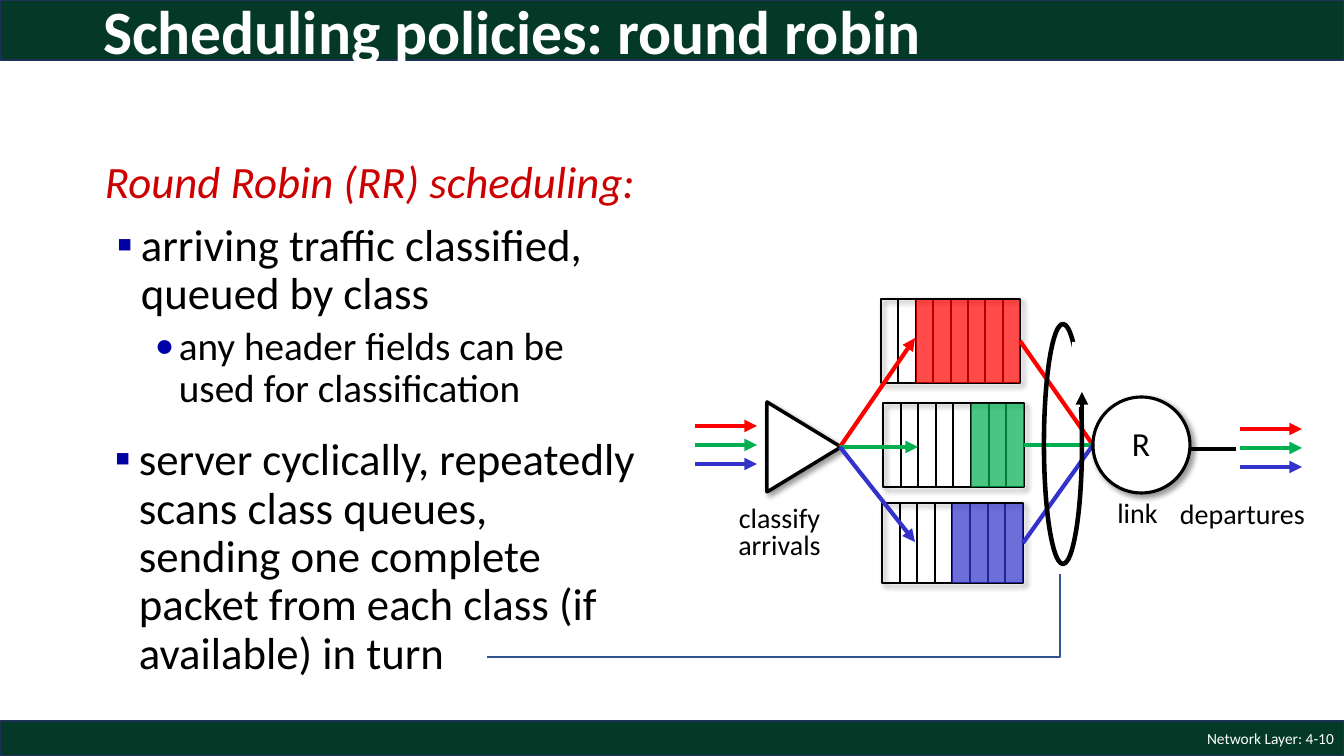
from typing import NamedTuple

from lxml.etree import SubElement
from pptx import Presentation
from pptx.dml.color import RGBColor
from pptx.enum.shapes import MSO_CONNECTOR as Connector, MSO_SHAPE as Preset
from pptx.enum.text import MSO_ANCHOR as Anchor, MSO_AUTO_SIZE as AutoSize, PP_ALIGN as Align
from pptx.oxml.ns import qn
from pptx.util import Emu, Pt

EMU_PER_PX = 914400 / 100.8
FONT = "Calibri"
BLACK, WHITE = "000000", "FFFFFF"
RED, GREEN, BLUE = "FF0000", "00B050", "3333CC"
CLASS_COLORS = (RED, GREEN, BLUE)
QUEUE_CELLS = 8


class Box(NamedTuple):
    left: int
    top: int
    width: int
    height: int

    def inside(self, x, y, width, height):
        return Box(self.left + x, self.top + y, width, height)

    def point(self, x, y):
        return self.left + x, self.top + y


def px(length):
    return Emu(round(length * EMU_PER_PX))


def to_emu(lengths):
    return [px(length) for length in lengths]


def color(value):
    return RGBColor.from_string(value)


def add_shape(parent, preset, box, fill=None, line=None, line_width=1, opacity=None, shadow=False):
    shape = parent.shapes.add_shape(preset, *to_emu(box))
    shape.shadow.inherit = False
    if fill:
        shape.fill.solid()
        shape.fill.fore_color.rgb = color(fill)
    else:
        shape.fill.background()
    if line:
        shape.line.color.rgb = color(line)
        shape.line.width = Pt(line_width)
    else:
        shape.line.fill.background()
    properties = shape._element.spPr
    if opacity:
        fill_color = properties.find(qn("a:solidFill"))[0]
        SubElement(fill_color, qn("a:alpha"), val=str(opacity * 1000))
    if shadow:
        effect = SubElement(properties.find(qn("a:effectLst")), qn("a:outerShdw"),
                            blurRad=str(Pt(4)), dist=str(Pt(3)), dir="2700000")
        shadow_color = SubElement(effect, qn("a:srgbClr"), val=BLACK)
        SubElement(shadow_color, qn("a:alpha"), val="40000")
    return shape


def add_line(parent, start, end, line=BLACK, width=3, arrow=False, source=None):
    connector = parent.shapes.add_connector(Connector.STRAIGHT, *to_emu(start + end))
    connector.line.color.rgb = color(line)
    connector.line.width = Pt(width)
    if arrow:
        SubElement(connector.line._get_or_add_ln(), qn("a:tailEnd"), type="triangle")
    SubElement(connector._element.spPr, qn("a:effectLst"))
    if source:
        connector.begin_connect(source, 3)
    return connector


def write(paragraph, text, size=20, fill=BLACK, bold=False, italic=False, align=Align.LEFT,
          spacing=None, before=None, margin=0, hanging=0, bullet=None, bullet_color=BLACK):
    paragraph.alignment = align
    paragraph.line_spacing = spacing
    if before is not None:
        paragraph.space_before = Pt(before)
    run = paragraph.add_run()
    run.text = text
    run.font.name = FONT
    run.font.size = Pt(size)
    run.font.bold = bold
    run.font.italic = italic
    run.font.color.rgb = color(fill)
    properties = paragraph._p.get_or_add_pPr()
    properties.set("marL", str(px(margin)))
    properties.set("indent", str(-px(hanging)))
    if bullet:
        SubElement(SubElement(properties, qn("a:buClr")), qn("a:srgbClr"), val=bullet_color)
        SubElement(properties, qn("a:buFont"), typeface=FONT)
        SubElement(properties, qn("a:buChar"), char=bullet)


def add_text(parent, box, paragraphs, wrap=True, anchor=Anchor.TOP):
    frame = parent.shapes.add_textbox(*to_emu(box)).text_frame
    frame.word_wrap = wrap
    frame.vertical_anchor = anchor
    if not wrap:
        frame.auto_size = AutoSize.SHAPE_TO_FIT_TEXT
    for index, (text, style) in enumerate(paragraphs):
        paragraph = frame.add_paragraph() if index else frame.paragraphs[0]
        write(paragraph, text, **style)


def add_label(parent, box, *lines, size=20):
    style = dict(size=size, align=Align.CENTER, spacing=0.8)
    add_text(parent, box, [(line, style) for line in lines], wrap=False)


def draw_band(slide, box):
    add_shape(slide, Preset.RECTANGLE, box, fill="043927", line="1E3256")


def draw_title(slide, box):
    title = slide.shapes.title
    title.left, title.top, title.width, title.height = to_emu(box)
    frame = title.text_frame
    frame.auto_size = AutoSize.NONE
    frame.word_wrap = True
    frame.vertical_anchor = Anchor.MIDDLE
    write(frame.paragraphs[0], "Scheduling policies: round robin",
          size=44, fill=WHITE, bold=True, spacing=0.9)
    slide.shapes._spTree.append(title._element)


def draw_policy(slide, box):
    heading = dict(size=32, fill="CC0000", italic=True, spacing=0.9, before=10, margin=39, hanging=24)
    item = dict(size=32, spacing=0.9, before=10, margin=51, hanging=24,
                bullet="▪", bullet_color="0000A3")
    detail = dict(size=28, spacing=0.9, before=5, margin=89, hanging=24,
                  bullet="•", bullet_color="0000A8")
    add_text(slide, box.inside(2, 0, 569, 277), [
        ("Round Robin (RR) scheduling:", heading),
        ("arriving traffic classified, queued by class", item),
        ("any header fields can be used for classification", detail),
    ])
    add_text(slide, box.inside(0, 277, 569, 259), [
        ("server cyclically, repeatedly scans class queues, sending one complete "
         "packet from each class (if available) in turn", item),
    ])


def draw_queue(slide, box, fill, empty_cells):
    group = slide.shapes.add_group_shape()
    frame = add_shape(group, Preset.RECTANGLE, box, line=BLACK, line_width=1.5, shadow=True)
    edges = [round(box.width * cell / QUEUE_CELLS) for cell in range(QUEUE_CELLS)]
    for x in edges[1:]:
        add_line(group, box.point(x, 0), box.point(x, box.height), width=1.5)
    x = edges[empty_cells]
    add_shape(group, Preset.RECTANGLE, box.inside(x, 1, box.width - x, box.height - 1),
              fill=fill, opacity=71)
    return frame


def draw_flow(slide, box):
    group = slide.shapes.add_group_shape()
    for index, line in enumerate(CLASS_COLORS):
        y = box.height * index // 2
        add_line(group, box.point(0, y), box.point(box.width, y), line, arrow=True)


def draw_scan_loop(slide, box):
    add_shape(slide, Preset.OVAL, box, line=BLACK, line_width=3.25)
    add_shape(slide, Preset.RECTANGLE, box.inside(28, 18, 21, 65), fill=WHITE)
    add_line(slide, box.point(box.width, 97), box.point(box.width, 68), arrow=True)


def draw_scheduler(slide, box):
    add_line(slide, box.point(495, 159), box.point(546, 159))
    queues = [
        draw_queue(slide, box.inside(191, 9, 139, 84), RED, 2),
        draw_queue(slide, box.inside(193, 113, 141, 84), GREEN, 5),
        draw_queue(slide, box.inside(192, 213, 141, 80), BLUE, 4),
    ]
    classifier = add_shape(slide, Preset.ISOSCELES_TRIANGLE, box.inside(69, 120, 90, 74),
                           fill=WHITE, line=BLACK, line_width=2.5, shadow=True)
    classifier.rotation = 90
    draw_flow(slide, box.inside(5, 136, 62, 38))
    draw_flow(slide, box.inside(550, 139, 62, 38))
    add_label(slide, box.inside(35, 212, 109, 66), "classify", "arrivals")
    add_label(slide, box.inside(479, 208, 147, 38), "departures")
    queue_entries = ((225, 48), (228, 157), (225, 252))
    for line, entry in zip(CLASS_COLORS, queue_entries):
        add_line(slide, box.point(150, 157), box.point(*entry), line, arrow=True)
    for line, queue in zip(CLASS_COLORS, queues):
        add_line(slide, box.point(330, 155), box.point(403, 155), line, source=queue)
    add_shape(slide, Preset.OVAL, box.inside(403, 107, 97, 96),
              fill=WHITE, line=BLACK, line_width=2.25, shadow=True)
    add_label(slide, box.inside(417, 207, 61, 38), "link")
    add_label(slide, box.inside(432, 136, 38, 43), "R", size=24)
    draw_scan_loop(slide, box.inside(354, 34, 38, 240))


def draw_callout(slide, box):
    builder = slide.shapes.build_freeform(*box.point(0, box.height), scale=EMU_PER_PX)
    builder.add_line_segments([box.point(box.width, box.height), box.point(box.width, 0)], close=False)
    callout = builder.convert_to_shape()
    callout.shadow.inherit = False
    callout.fill.background()
    callout.line.color.rgb = color("325491")
    callout.line.width = Pt(1)


def main():
    presentation = Presentation()
    presentation.slide_width, presentation.slide_height = to_emu((1344, 756))
    slide = presentation.slides.add_slide(presentation.slide_layouts[5])
    draw_band(slide, Box(0, 721, 1344, 35))
    draw_band(slide, Box(0, 0, 1344, 60))
    add_text(slide, Box(1041, 721, 303, 35),
             [("Network Layer: 4-10", dict(size=11, fill=WHITE, align=Align.RIGHT))],
             anchor=Anchor.MIDDLE)
    draw_scheduler(slide, Box(690, 290, 630, 300))
    draw_policy(slide, Box(78, 155, 571, 536))
    draw_callout(slide, Box(487, 574, 573, 83))
    draw_title(slide, Box(93, -15, 1159, 99))
    presentation.save("out.pptx")


if __name__ == "__main__":
    main()
